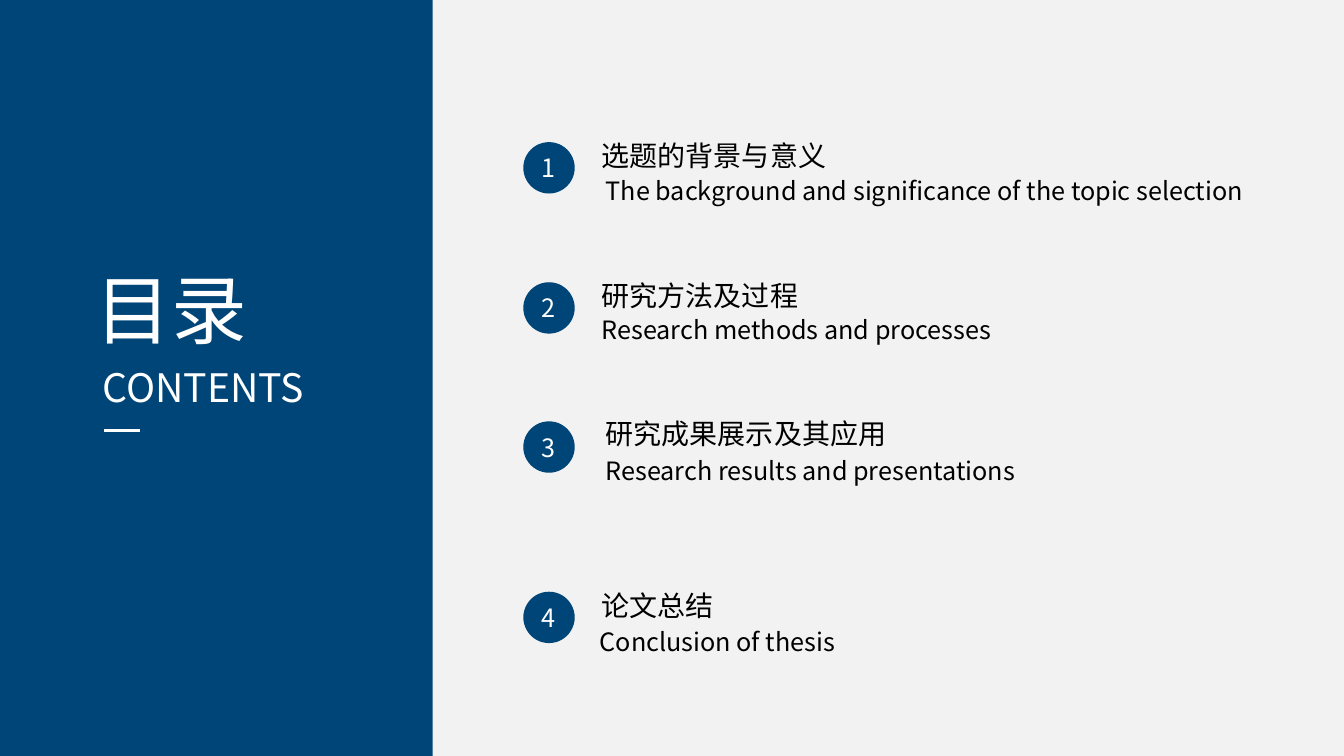
from dataclasses import dataclass

from lxml.etree import SubElement
from pptx import Presentation
from pptx.dml.color import RGBColor
from pptx.enum.shapes import MSO_CONNECTOR, MSO_SHAPE
from pptx.enum.text import MSO_ANCHOR, PP_ALIGN
from pptx.oxml.ns import qn
from pptx.shapes.autoshape import Shape
from pptx.slide import Slide
from pptx.text.text import TextFrame
from pptx.util import Inches, Pt

COLORS = {"navy": "004578", "paper": "F2F2F2", "white": "FFFFFF", "black": "000000"}
FONT = "Noto Sans CJK SC"
CIRCLE_LEFT = 5.19
CIRCLE_SIZE = 0.51


@dataclass
class Chapter:
    circle_top: float
    title: str
    title_left: float
    title_top: float
    title_width: float
    subtitle: str
    subtitle_left: float
    subtitle_top: float
    subtitle_width: float


CHAPTERS = [
    Chapter(1.41, "选题的背景与意义", 5.87, 1.33, 3.16,
            "The background and significance of the topic selection", 5.91, 1.69, 6.93),
    Chapter(2.8, "研究方法及过程", 5.87, 2.71, 2.9,
            "Research methods and processes", 5.87, 3.07, 5.55),
    Chapter(4.18, "研究成果展示及其应用", 5.91, 4.08, 3.73,
            "Research results and presentations", 5.91, 4.47, 7.4),
    Chapter(5.87, "论文总结", 5.87, 5.79, 1.62,
            "Conclusion of thesis", 5.85, 6.16, 5.55),
]


def color(name: str) -> RGBColor:
    return RGBColor.from_string(COLORS[name])


def write_text(frame: TextFrame, text: str, *, size: float, ink: str = "black",
               align: PP_ALIGN = PP_ALIGN.LEFT) -> None:
    paragraph = frame.paragraphs[0]
    paragraph.alignment = align
    run = paragraph.add_run()
    run.text = text
    run.font.size = Pt(size)
    run.font.name = FONT
    run.font.color.rgb = color(ink)
    # East Asian characters take their own typeface
    SubElement(run.font._element, qn("a:ea")).set("typeface", FONT)


def add_label(slide: Slide, text: str, left: float, top: float, width: float,
              height: float, **text_format) -> None:
    box = slide.shapes.add_textbox(Inches(left), Inches(top), Inches(width), Inches(height))
    box.text_frame.word_wrap = True
    write_text(box.text_frame, text, **text_format)


def add_navy_shape(slide: Slide, kind: MSO_SHAPE, left: float, top: float,
                   width: float, height: float) -> Shape:
    shape = slide.shapes.add_shape(kind, Inches(left), Inches(top), Inches(width), Inches(height))
    shape.shadow.inherit = False
    shape.fill.solid()
    shape.fill.fore_color.rgb = color("navy")
    shape.line.fill.background()
    return shape


def add_rule(slide: Slide, left: float, right: float, top: float) -> None:
    rule = slide.shapes.add_connector(MSO_CONNECTOR.STRAIGHT, Inches(left), Inches(top),
                                      Inches(right), Inches(top))
    rule.line.color.rgb = color("white")
    rule.line.width = Pt(2.25)
    SubElement(rule._element.spPr, qn("a:effectLst"))


def add_chapter(slide: Slide, number: int, chapter: Chapter) -> None:
    circle = add_navy_shape(slide, MSO_SHAPE.OVAL, CIRCLE_LEFT, chapter.circle_top,
                            CIRCLE_SIZE, CIRCLE_SIZE)
    circle.text_frame.vertical_anchor = MSO_ANCHOR.MIDDLE
    write_text(circle.text_frame, str(number), size=18, ink="white", align=PP_ALIGN.CENTER)
    add_label(slide, chapter.title, chapter.title_left, chapter.title_top,
              chapter.title_width, 0.44, size=20)
    add_label(slide, chapter.subtitle, chapter.subtitle_left, chapter.subtitle_top,
              chapter.subtitle_width, 0.4, size=18)


def main() -> None:
    presentation = Presentation()
    presentation.slide_width = Inches(13.33)
    presentation.slide_height = Inches(7.5)
    slide = presentation.slides.add_slide(presentation.slide_layouts[6])
    slide.background.fill.solid()
    slide.background.fill.fore_color.rgb = color("paper")

    # Heading panel
    add_navy_shape(slide, MSO_SHAPE.RECTANGLE, 0, 0, 4.29, 7.5)
    add_label(slide, "目录", 0.85, 2.56, 1.78, 1.01,
              size=54, ink="white", align=PP_ALIGN.JUSTIFY)
    add_label(slide, "CONTENTS", 0.92, 3.56, 2.45, 0.57,
              size=28, ink="white", align=PP_ALIGN.JUSTIFY)
    add_rule(slide, 1.03, 1.39, 4.27)

    # Numbered chapters
    for number, chapter in enumerate(CHAPTERS, start=1):
        add_chapter(slide, number, chapter)

    presentation.save("out.pptx")


if __name__ == "__main__":
    main()
